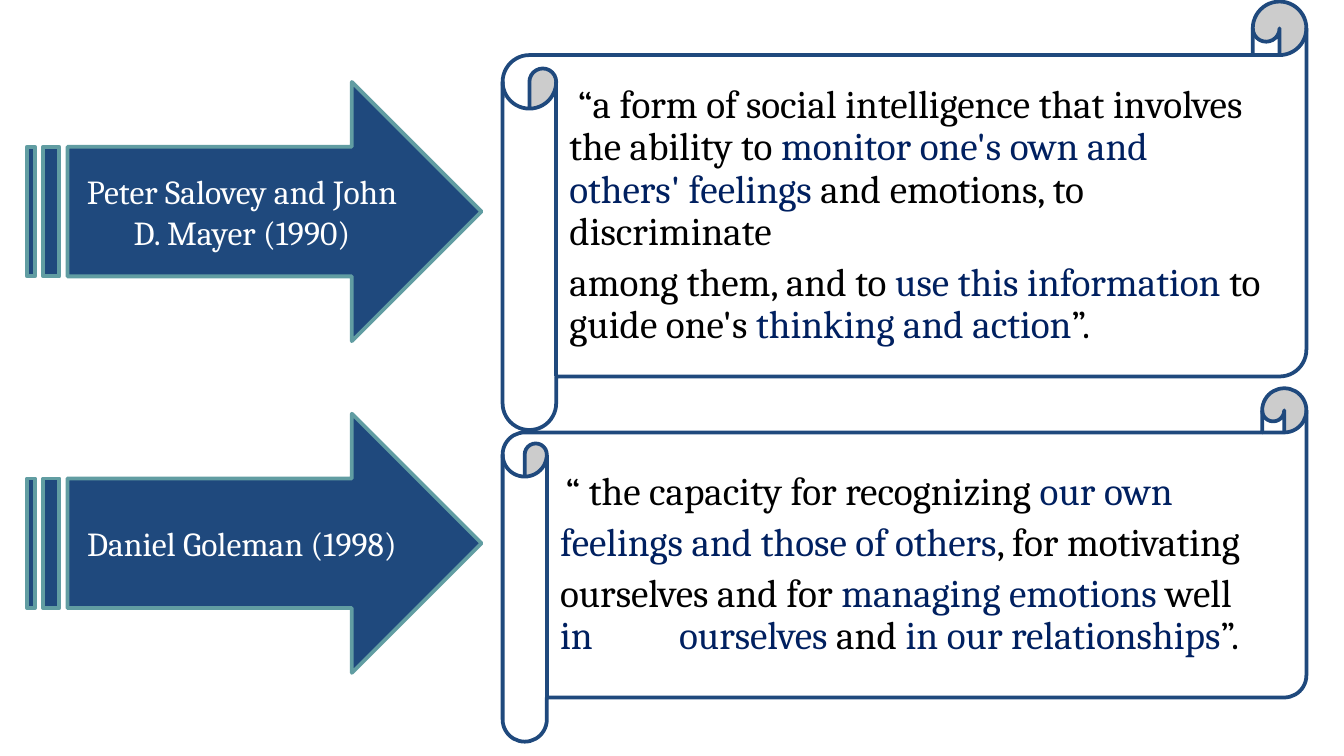
from typing import NamedTuple

from pptx import Presentation
from pptx.enum.shapes import MSO_SHAPE
from pptx.enum.text import MSO_ANCHOR, PP_ALIGN
from pptx.oxml.ns import qn
from pptx.util import Cm, Pt
from lxml.etree import SubElement

COLORS = {
    "white": "FFFFFF",
    "black": "000000",
    "blue": "1F497D",
    "teal": "619DA2",
    "navy": "002060",
}
FONT = "Cambria"


class Span(NamedTuple):
    text: str
    color: str = "black"
    size: float = 21


class Definition(NamedTuple):
    author: str
    arrow_top: float
    scroll_top: float
    scroll_height: float
    paragraphs: list[list[Span]]


DEFINITIONS = [
    Definition("Peter Salovey and John D. Mayer (1990)", 1.55, 0.03, 8.1, [
        [Span(" “a form of social intelligence that involves the ability to "),
         Span("monitor one's own and others' feelings ", "navy"),
         Span("and emotions, to discriminate")],
        [Span("among them, and to "),
         Span("use this information ", "navy"),
         Span("to guide one's "),
         Span("thinking and action", "navy"),
         Span("”.")],
    ]),
    Definition("Daniel Goleman (1998)", 7.82, 7.34, 6.68, [
        [Span(" ", "blue", 13.5),
         Span("“ the capacity for recognizing "),
         Span("our own", "navy")],
        [Span("feelings and those of others", "navy"),
         Span(", for motivating")],
        [Span("ourselves and for "),
         Span("managing emotions ", "navy"),
         Span("well\n"),
         Span("in\tourselves ", "navy"),
         Span("and "),
         Span("in our relationships", "navy"),
         Span("”.")],
    ]),
]


def rgb(name: str):
    return RGBColor.from_string(COLORS[name])


def add_box(s, kind, left: float, top: float, width: float, height: float,
            fill: str, line: str):
    sp = s.shapes.add_shape(kind, Cm(left), Cm(top), Cm(width), Cm(height))
    sp.shadow.inherit = False
    sp.fill.solid()
    sp.fill.fore_color.rgb = rgb(fill)
    sp.line.color.rgb = rgb(line)
    sp.line.width = Pt(2)
    sp.text_frame.word_wrap = True
    sp.text_frame.vertical_anchor = MSO_ANCHOR.MIDDLE
    return sp


def add_span(p, span: Span) -> None:
    """Add the span as a run; a final newline becomes a line break."""
    r = p.add_run()
    r.text = span.text.rstrip("\n")
    r.font.name = FONT
    r.font.size = Pt(span.size)
    r.font.color.rgb = rgb(span.color)
    if span.text.endswith("\n"):
        p.add_line_break()


def add_tab_stop(p, position: float) -> None:
    tabs = SubElement(p._p.get_or_add_pPr(), qn("a:tabLst"))
    SubElement(tabs, qn("a:tab"), pos=str(Cm(position)), algn="l")


def add_arrow(s, d: Definition) -> None:
    sp = add_box(s, MSO_SHAPE.STRIPED_RIGHT_ARROW, 0.51, d.arrow_top, 8.59, 4.9,
                 "blue", "teal")
    p = sp.text_frame.paragraphs[0]
    p.alignment = PP_ALIGN.CENTER
    add_span(p, Span(d.author, "white", 18))


def add_scroll(s, d: Definition) -> None:
    sp = add_box(s, MSO_SHAPE.HORIZONTAL_SCROLL, 9.5, d.scroll_top, 15.19,
                 d.scroll_height, "white", "blue")
    tf = sp.text_frame
    for i, spans in enumerate(d.paragraphs):
        p = tf.add_paragraph() if i else tf.paragraphs[0]
        if any("\t" in span.text for span in spans):
            add_tab_stop(p, 2.25)
        p.alignment = PP_ALIGN.LEFT
        p.line_spacing = 0.9
        if i:
            p.space_before = Pt(4.5)
        for span in spans:
            add_span(p, span)


def main() -> None:
    prs = Presentation()
    prs.slide_width, prs.slide_height = Cm(25.4), Cm(14.29)
    s = prs.slides.add_slide(prs.slide_layouts[6])
    for add in (add_scroll, add_arrow):
        for d in DEFINITIONS:
            add(s, d)
    prs.save("out.pptx")


from pptx.dml.color import RGBColor

if __name__ == "__main__":
    main()
